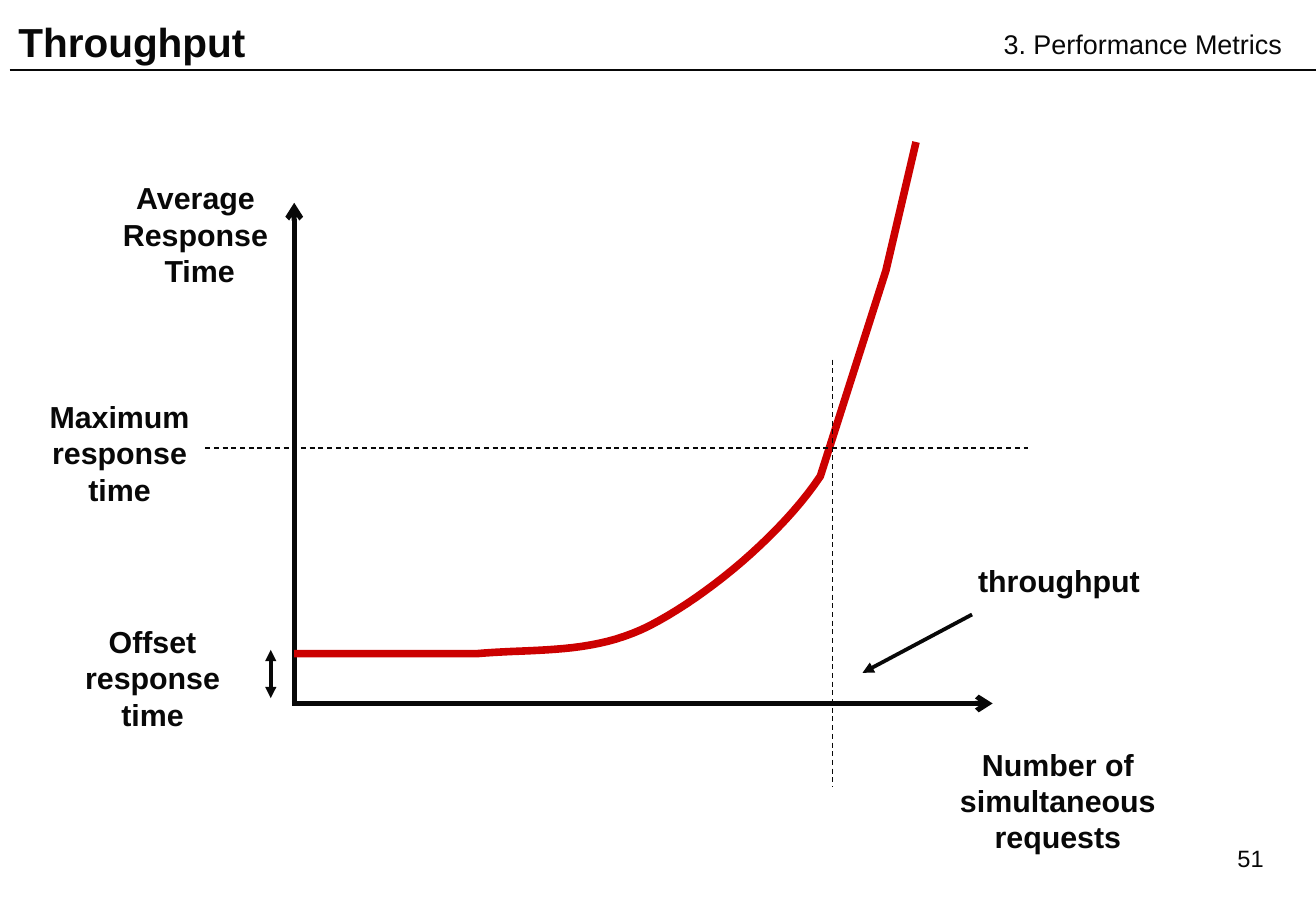
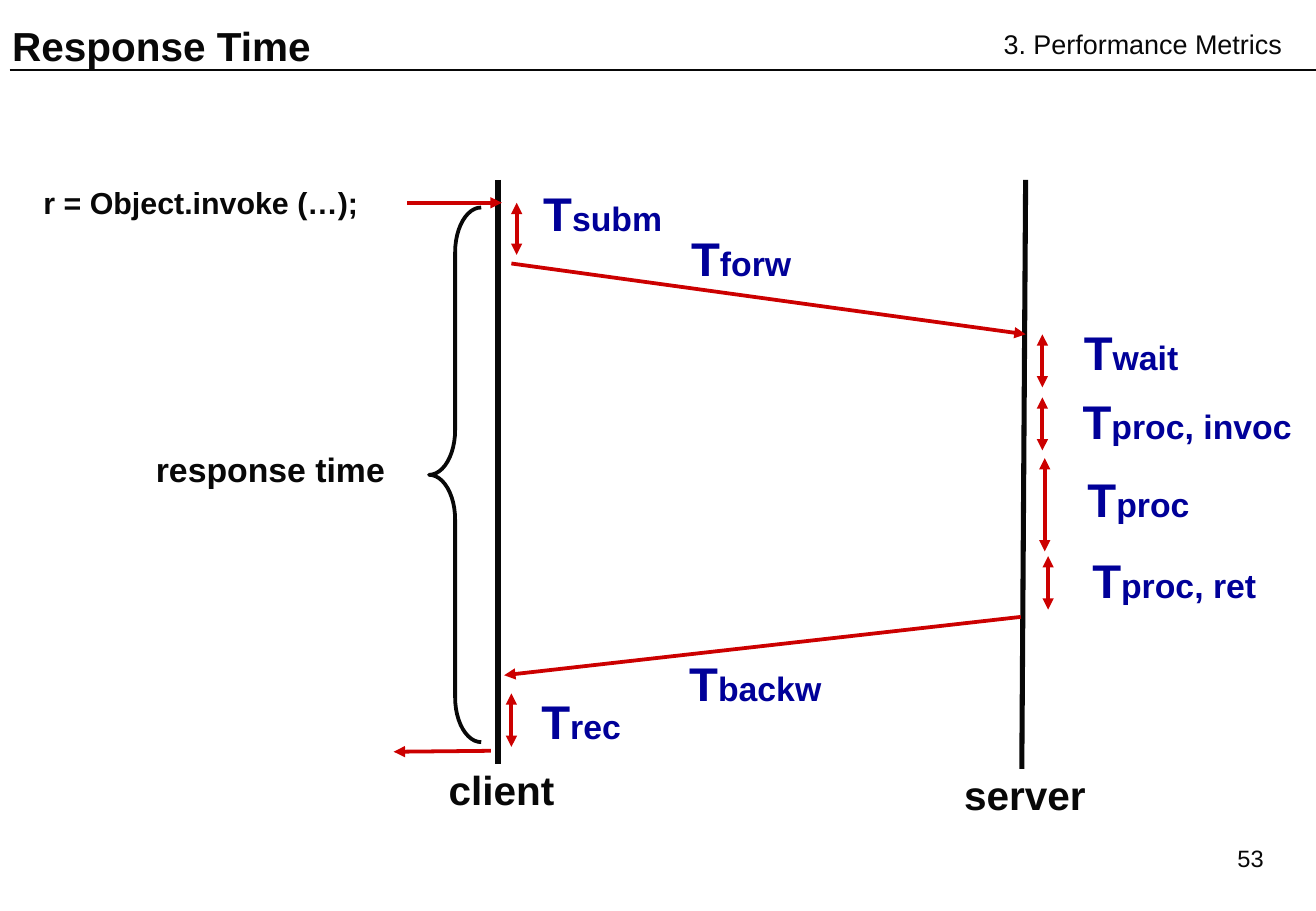
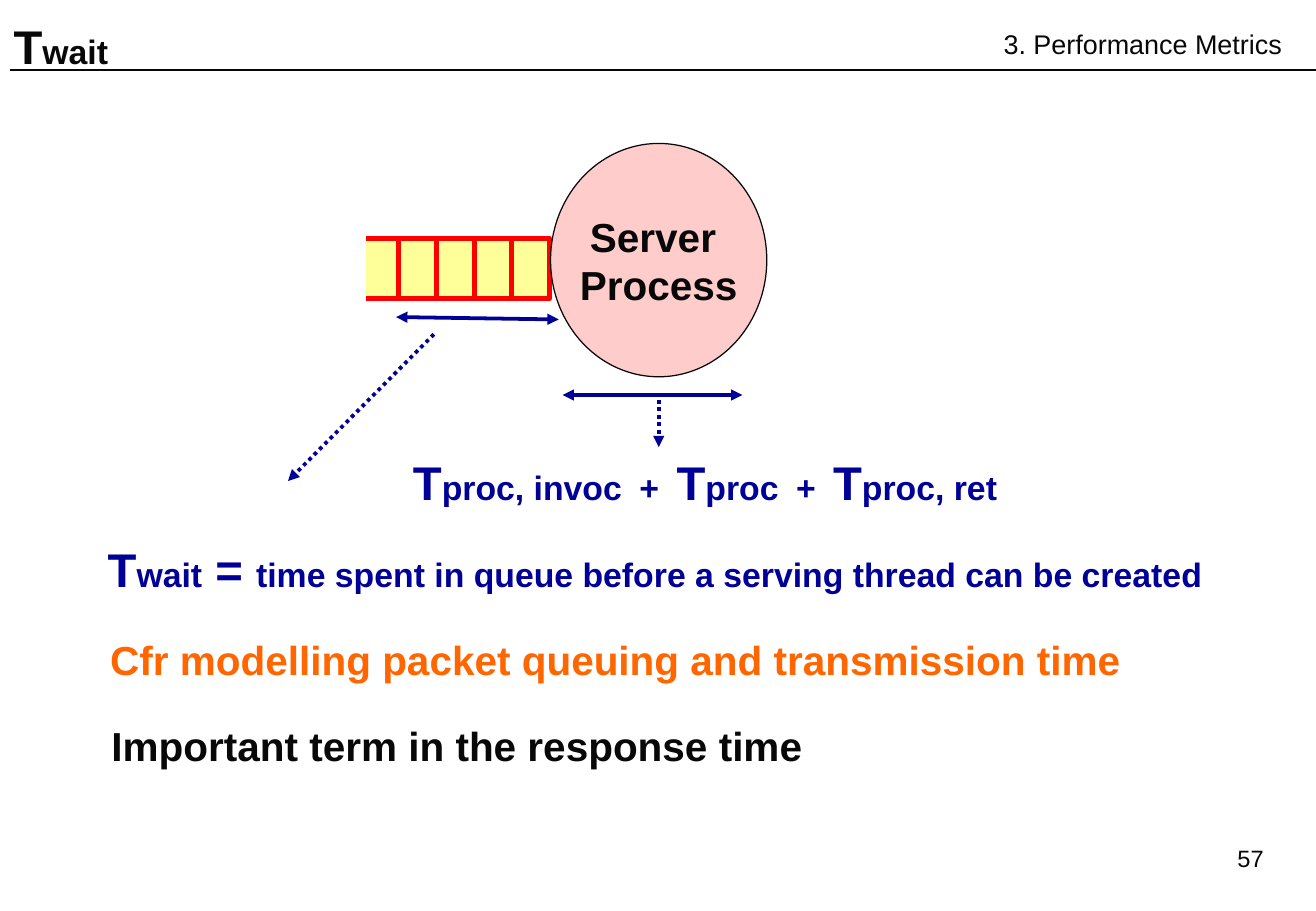
"""Builds three slides on throughput, response time and waiting time."""
import lxml.etree
import pptx
import pptx.dml.color
import pptx.enum.dml
import pptx.enum.shapes
import pptx.enum.text
import pptx.oxml.ns
import pptx.util

Cm = pptx.util.Cm
Pt = pptx.util.Pt
RGBColor = pptx.dml.color.RGBColor
DASH = pptx.enum.dml.MSO_LINE.DASH
DOTS = pptx.enum.dml.MSO_LINE.ROUND_DOT
SHAPES = pptx.enum.shapes.MSO_SHAPE
ALIGN = pptx.enum.text.PP_ALIGN
ANCHOR = pptx.enum.text.MSO_ANCHOR
qn = pptx.oxml.ns.qn

INK = RGBColor(0x08, 0x08, 0x08)
CRIMSON = RGBColor(0xCC, 0x00, 0x00)
NAVY = RGBColor(0x00, 0x00, 0x99)
ORANGE = RGBColor(0xFF, 0x66, 0x00)
RED = RGBColor(0xFF, 0x00, 0x00)
YELLOW = RGBColor(0xFF, 0xFF, 0x99)
PINK = RGBColor(0xFF, 0xCC, 0xCC)

FONT = "Arial"
SLIDE_WIDTH, SLIDE_HEIGHT = 27.51, 19.05
SECTION = "3. Performance Metrics"
TITLE_ONLY = 5


def term(subscript):
    """Return the runs of a time symbol such as Twait."""
    return [("T", 28), (subscript, 20)]


def write(frame, text, size=None, color=INK, bold=True, align=ALIGN.CENTER,
          anchor=ANCHOR.TOP, wrap=True, line_spacing=None):
    """Fill a frame with one paragraph, given as a string or as (text, size, spacing) runs."""
    frame.word_wrap = wrap
    frame.auto_size = pptx.enum.text.MSO_AUTO_SIZE.NONE
    frame.vertical_anchor = anchor
    paragraph = frame.paragraphs[0]
    paragraph.alignment = align
    if line_spacing:
        paragraph.line_spacing = line_spacing
    paragraph.font.name = FONT
    paragraph.font.bold = bold
    paragraph.font.color.rgb = color
    if isinstance(text, str):
        paragraph.text = text
        paragraph.font.size = Pt(size)
        return
    for words, run_size, *spacing in text:
        run = paragraph.add_run()
        run.text = words
        run.font.size = Pt(run_size)
        if spacing:
            run.font._element.set("spc", str(spacing[0]))


def add_label(slide, box, text, size=None, **style):
    """Add a text box at (left, top, width, height)."""
    label = slide.shapes.add_textbox(*map(Cm, box))
    write(label.text_frame, text, size, **style)


def add_line(slide, start, end, color=INK, width=2.25, dash=None, head=None, tail=None):
    """Add a straight line with optional dashes and arrowheads."""
    line = slide.shapes.add_connector(
        pptx.enum.shapes.MSO_CONNECTOR.STRAIGHT, *map(Cm, (*start, *end)))
    line.line.color.rgb = color
    line.line.width = Pt(width)
    if dash:
        line.line.dash_style = dash
    properties = line.element.spPr
    outline = properties.find(qn("a:ln"))
    for tag, kind in (("a:headEnd", head), ("a:tailEnd", tail)):
        if kind:
            lxml.etree.SubElement(outline, qn(tag)).set("type", kind)
    lxml.etree.SubElement(properties, qn("a:effectLst"))
    return line


def add_span(slide, start, end, color):
    """Add a double-headed arrow that marks a duration."""
    add_line(slide, start, end, color, head="triangle", tail="triangle")


def paint(shape, color, width, fill=None):
    """Give a shape its outline and fill, without shadow."""
    shape.shadow.inherit = False
    shape.line.color.rgb = color
    shape.line.width = Pt(width)
    if fill is None:
        shape.fill.background()
    else:
        shape.fill.solid()
        shape.fill.fore_color.rgb = fill


def add_outline(slide, points, color, width, fill=None):
    """Add an open freeform through the points."""
    start, *others = [(Cm(x), Cm(y)) for x, y in points]
    builder = slide.shapes.build_freeform(*start, scale=1.0)
    builder.add_line_segments(others, close=False)
    paint(builder.convert_to_shape(), color, width, fill)


def bezier(start, first, second, end, steps=20):
    """Return points along a cubic curve, leaving out its start."""
    points = []
    for step in range(1, steps + 1):
        t = step / steps
        weights = ((1 - t) ** 3, 3 * t * (1 - t) ** 2, 3 * t * t * (1 - t), t ** 3)
        points.append(tuple(sum(weight * point[axis] for weight, point
                                in zip(weights, (start, first, second, end)))
                            for axis in (0, 1)))
    return points


def add_page(prs, title, number, size=None, left=0, top=0):
    """Add a slide with its title, section name and page number."""
    slide = prs.slides.add_slide(prs.slide_layouts[TITLE_ONLY])
    heading = slide.shapes.title
    heading.left, heading.top, heading.width, heading.height = map(Cm, (left, top, 21.59, 1.9))
    write(heading.text_frame, title, size, align=ALIGN.LEFT, anchor=ANCHOR.MIDDLE)
    add_label(slide, (20.73, 0.46, 6.68, 0.94), SECTION, 16, bold=False, align=ALIGN.LEFT)
    add_label(slide, (21.36, 17.53, 5.31, 1.27), number, 14, bold=False, align=ALIGN.RIGHT)
    return slide


def share_rule(slide):
    """Put the line below the title on the layout, for all slides."""
    layout = slide.slide_layout
    for footer in list(layout.placeholders)[1:]:
        footer.element.getparent().remove(footer.element)
    rule = add_line(slide, (0.2, 1.47), (SLIDE_WIDTH, 1.47), width=1)
    layout.shapes.element.append(rule.element)


def draw_throughput(slide):
    """Draw response time against the number of requests."""
    add_line(slide, (6.1, 14.71), (20.75, 14.71), width=3, tail="arrow")
    add_line(slide, (6.15, 14.66), (6.15, 4.24), width=3, tail="arrow")
    flat_end, bend, knee = (9.96, 13.67), (13.59, 13.08), (17.15, 9.96)
    load_curve = [(6.15, 13.67), flat_end,
                  *bezier(flat_end, (11.2, 13.56), (12.4, 13.69), bend),
                  *bezier(bend, (14.81, 12.45), (16.33, 11.18), knee),
                  (18.52, 5.66), (19.15, 2.97)]
    add_outline(slide, load_curve, CRIMSON, 4.5)
    add_span(slide, (5.66, 13.59), (5.66, 14.6), INK)
    add_line(slide, (4.29, 9.37), (21.49, 9.37), width=0.75, dash=DASH)
    add_line(slide, (17.4, 7.52), (17.4, 16.46), width=0.75, dash=DASH)
    add_line(slide, (20.32, 12.85), (18.03, 14.07), tail="triangle")
    for left, top, width, text in (
            (18.52, 15.47, 7.19, "Number of simultaneous requests"),
            (0.58, 3.63, 7.19, "Average \nResponse \nTime"),
            (1.07, 12.9, 4.24, "Offset response time"),
            (0.38, 8.2, 4.24, "Maximum\nresponse time"),
            (20.02, 11.63, 4.24, "throughput")):
        add_label(slide, (left, top, width, 2.54), text, 18)


def draw_response_time(slide):
    """Draw the timeline of a call between client and server."""
    add_line(slide, (10.41, 3.76), (10.41, 15.98), width=3)
    add_line(slide, (21.44, 3.76), (21.36, 16.08), width=3)
    add_label(slide, (6.99, 15.88, 6.99, 1.27), "client", 24)
    add_label(slide, (17.93, 15.98, 6.99, 1.27), "server", 24)
    add_label(slide, (0, 3.73, 8.4, 1.02), "r = Object.invoke (…);", 18)
    add_label(slide, (2.57, 9.27, 6.17, 1.12), "response time", 20)
    for start, end in (((8.51, 4.24), (10.49, 4.24)),
                       ((10.69, 5.51), (21.44, 6.99)),
                       ((21.34, 12.9), (10.54, 14.12)),
                       ((10.26, 15.7), (8.23, 15.72))):
        add_line(slide, start, end, CRIMSON, tail="triangle")
    for x, top, bottom in ((10.8, 4.24, 5.33), (21.79, 6.99, 8.1), (21.79, 8.31, 9.42),
                           (21.84, 9.58, 11.53), (21.91, 11.63, 12.75), (10.69, 14.5, 15.62)):
        add_span(slide, (x, top), (x, bottom), CRIMSON)
    for left, top, width, subscript in (
            (11.1, 3.73, 3, "subm"), (14.2, 4.67, 2.59, "forw"),
            (22.4, 6.63, 2.49, "wait"), (22.38, 8.08, 4.88, "proc, invoc"),
            (22.48, 9.7, 2.64, "proc"), (22.58, 11.4, 3.94, "proc, ret"),
            (14.15, 13.56, 3.28, "backw"), (11.07, 14.35, 2.16, "rec")):
        add_label(slide, (left, top, width, 1.45), term(subscript), color=NAVY, wrap=False)
    brace = slide.shapes.add_shape(SHAPES.LEFT_BRACE, *map(Cm, (8.97, 4.34, 1.09, 11.18)))
    brace.adjustments[0] = 0.86
    paint(brace, INK, 2.25)


def draw_waiting_time(slide):
    """Draw the request queue in front of the server process."""
    left, right, top, bottom = 7.65, 11.48, 4.98, 6.25
    add_outline(slide, [(left, top), (right, top), (right, bottom), (left, bottom)],
                RED, 3, YELLOW)
    for index in range(4):
        x = 8.33 + 0.79 * index
        add_line(slide, (x, top), (x, bottom), RED, 3)
    server = slide.shapes.add_shape(SHAPES.OVAL, *map(Cm, (11.51, 3, 4.52, 4.88)))
    paint(server, INK, 0.75, PINK)
    write(server.text_frame, "Server \nProcess", 24, anchor=ANCHOR.MIDDLE, wrap=False)
    add_span(slide, (8.28, 6.63), (11.68, 6.68), NAVY)
    add_span(slide, (11.76, 8.26), (15.52, 8.26), NAVY)
    for start, end in (((9.07, 6.99), (6.02, 10.06)), ((13.77, 8.36), (13.77, 9.35))):
        add_line(slide, start, end, NAVY, dash=DOTS, tail="triangle")
    gap = (" ", 28, 250)
    plus = [gap, ("+", 20), gap]
    add_label(slide, (7.87, 9.53, 13.74, 1.4),
              term("proc, invoc") + plus + term("proc") + plus + term("proc, ret"),
              color=NAVY, line_spacing=0.85)
    add_label(slide, (2.01, 11.18, 23.39, 1.45),
              term("wait") + [(" = ", 28), (
                  "time spent in queue before a serving thread can be created", 20)],
              color=NAVY, wrap=False)
    add_label(slide, (1.88, 13.16, 21.97, 1.27),
              "Cfr modelling packet queuing and transmission time", 24, color=ORANGE)
    add_label(slide, (2.08, 14.96, 21.97, 1.27),
              "Important term in the response time", 24, align=ALIGN.LEFT)


def main():
    """Build and save the presentation."""
    prs = pptx.Presentation()
    prs.slide_width, prs.slide_height = Cm(SLIDE_WIDTH), Cm(SLIDE_HEIGHT)
    throughput = add_page(prs, "Throughput", "51", 24, left=0.13, top=-0.08)
    share_rule(throughput)
    draw_throughput(throughput)
    draw_response_time(add_page(prs, "Response Time", "53", 24))
    draw_waiting_time(add_page(prs, term("wait"), "57", left=0.03))
    prs.save("out.pptx")


if __name__ == "__main__":
    main()
